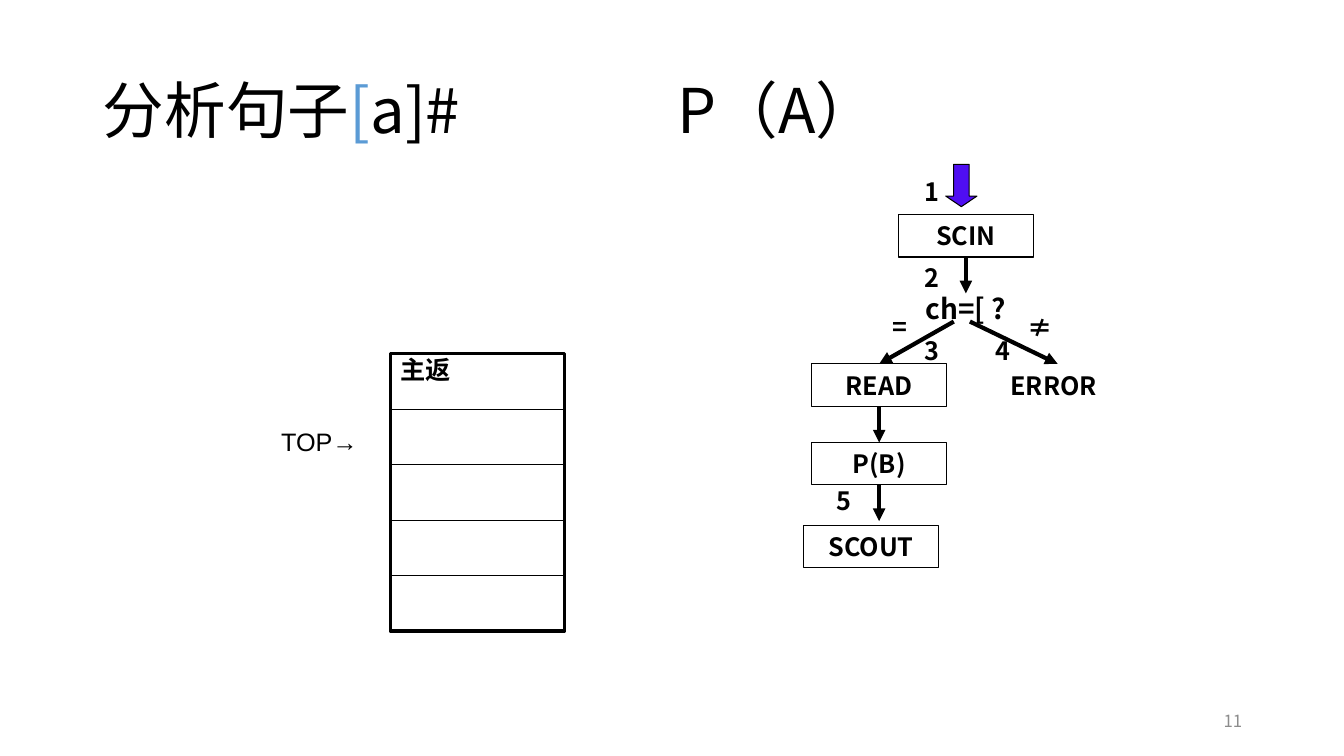
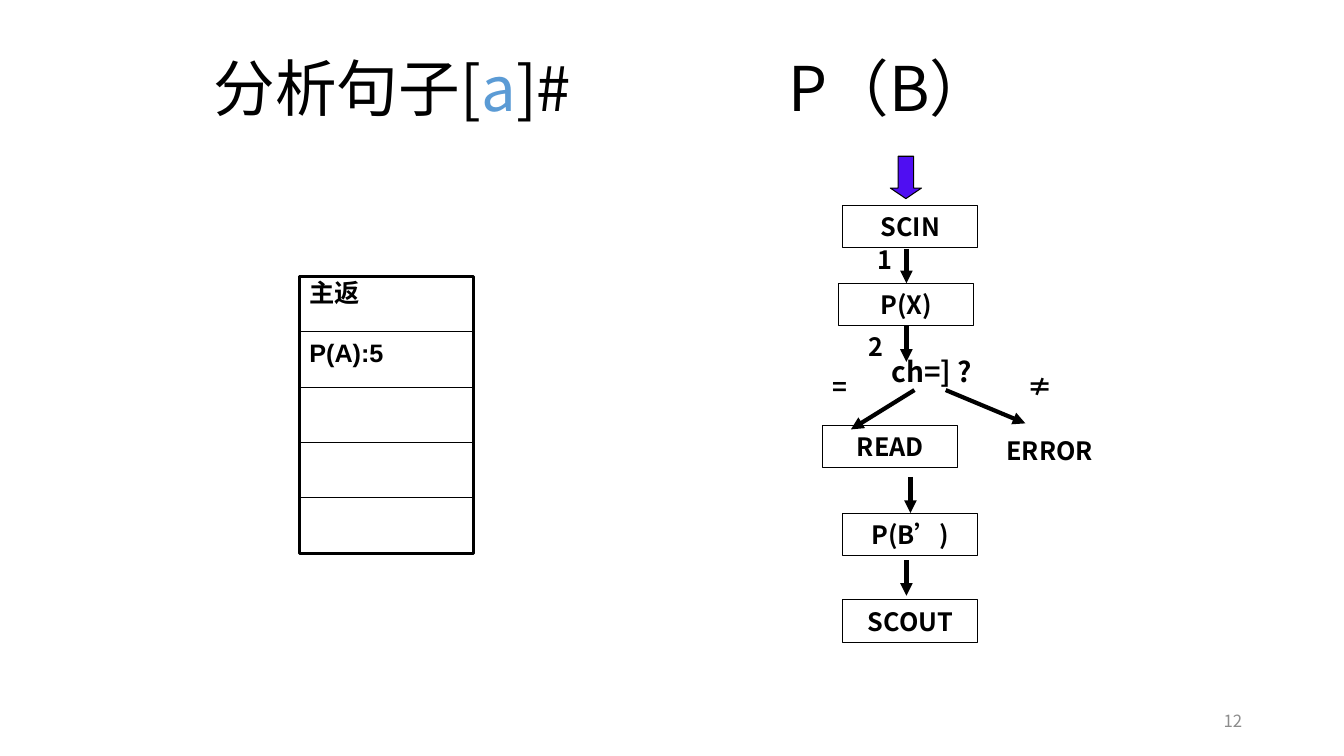
"""Build two slides that trace the parsing of a sentence with a call stack."""
from pptx import Presentation
from pptx.dml.color import RGBColor
from pptx.enum.shapes import MSO_CONNECTOR, MSO_SHAPE
from pptx.enum.text import MSO_ANCHOR, PP_ALIGN
from pptx.oxml.xmlchemy import OxmlElement
from pptx.util import Inches, Pt

STRAIGHT = MSO_CONNECTOR.STRAIGHT
RECT, DOWN = MSO_SHAPE.RECTANGLE, MSO_SHAPE.DOWN_ARROW
TOP, MIDDLE = MSO_ANCHOR.TOP, MSO_ANCHOR.MIDDLE
LEFT, CENTER, RIGHT = PP_ALIGN.LEFT, PP_ALIGN.CENTER, PP_ALIGN.RIGHT


class Theme:
    ink = RGBColor(0x00, 0x00, 0x00)
    accent = RGBColor(0x5B, 0x9B, 0xD5)
    entry = RGBColor(0x4F, 0x0E, 0xF2)
    muted = RGBColor(0x8C, 0x8C, 0x8C)
    thin, frame, thick = Pt(0.75), Pt(2.25), Pt(3)
    title = {"name": "Noto Sans CJK SC", "size": Pt(44), "bold": False}
    node = {"name": "Noto Sans CJK SC", "size": Pt(18), "bold": True}
    test = {"name": "Noto Sans CJK SC", "size": Pt(20), "bold": True}
    page = {"name": "Noto Sans CJK SC", "size": Pt(12), "bold": False}
    stack = {"name": "Arial", "size": Pt(18), "bold": True}
    top = {"name": "Arial", "size": Pt(18), "bold": False}


NODE, MARK = (1.34, 0.42), (0.32, 0.4)
WIDE, ROW, ROWS = 1.73, 0.55, 5
SLIDES = [
    {
        "page": "11",
        "title": ("分析句子", "[", "a]#\tP（A）"),
        "place": (0.92, 0.4, 11.5, 1.45),
        "entry": (9.38, 1.63),
        "nodes": {"SCIN": (8.91, 2.13), "READ": (8.05, 3.61),
                  "P(B)": (8.05, 4.39), "SCOUT": (7.97, 5.21)},
        "error": (9.78, 3.61),
        "test": ("ch=[ ?", 8.91, 2.84),
        "marks": [("1", 9.07, 1.7), ("2", 9.07, 2.55), ("3", 9.07, 3.28),
                  ("4", 9.78, 3.28), ("5", 8.2, 4.77),
                  ("=", 8.75, 3.04), ("≠", 10.09, 3.05)],
        "links": [("SCIN", (9.58, 2.91)), ((9.46, 3.19), "READ"),
                  ((9.62, 3.19), (10.49, 3.61)), ("READ", "P(B)"),
                  ("P(B)", (8.72, 5.17))],
        "stack": (3.87, 3.51),
        "calls": ["主返"],
        "top": (2.69, 4.18),
    },
    {
        "page": "12",
        "title": ("分析句子[", "a", "]#\tP（B）"),
        "place": (2.02, 0.28, 9, 1.25),
        "entry": (8.83, 1.55),
        "nodes": {"SCIN": (8.36, 2.04), "P(X)": (8.32, 2.81),
                  "READ": (8.16, 4.22), "P(B’)": (8.36, 5.09),
                  "SCOUT": (8.36, 5.95)},
        "error": (9.74, 4.26),
        "test": ("ch=] ?", 8.57, 3.47),
        "marks": [("1", 8.6, 2.37), ("2", 8.52, 3.24),
                  ("=", 8.16, 3.63), ("≠", 10.09, 3.63)],
        "links": [((8.99, 2.47), "P(X)"), ("P(X)", (8.99, 3.59)),
                  ((9.07, 3.87), (8.44, 4.26)),
                  ((9.38, 3.87), (10.17, 4.2)),
                  ((9.03, 4.73), "P(B’)"), ((8.99, 5.56), (8.99, 5.91))],
        "stack": (2.97, 2.74),
        "calls": ["主返", "P(A):5"],
        "top": None,
    },
]


def write(para, text, form, color=Theme.ink):
    run = para.add_run()
    run.text = text
    for key, value in form.items():
        setattr(run.font, key, value)
    run.font.color.rgb = color
    east = OxmlElement("a:ea")
    east.set("typeface", form["name"])
    run.font.language_id = None
    run._r.get_or_add_rPr().append(east)


def label(text, place, form, align=CENTER, anchor=TOP, color=Theme.ink):
    box = slide.shapes.add_textbox(*map(Inches, place))
    box.text_frame.word_wrap = True
    box.text_frame.vertical_anchor = anchor
    para = box.text_frame.paragraphs[0]
    para.alignment = align
    write(para, text, form, color)


prs = Presentation()
prs.slide_width, prs.slide_height = Inches(13.33), Inches(7.5)

for data in SLIDES:
    slide = prs.slides.add_slide(prs.slide_layouts[5])
    title = slide.shapes.title
    for key, value in zip(("left", "top", "width", "height"), data["place"]):
        setattr(title, key, Inches(value))
    title.text_frame.vertical_anchor = MIDDLE
    para = title.text_frame.paragraphs[0]
    para.alignment, para.line_spacing = LEFT, 0.9
    tabs, tab = OxmlElement("a:tabLst"), OxmlElement("a:tab")
    tab.set("pos", str(Inches(5.7)))
    tab.set("algn", "l")
    tabs.append(tab)
    para._p.get_or_add_pPr().append(tabs)
    for text, color in zip(data["title"], (Theme.ink, Theme.accent, Theme.ink)):
        write(para, text, Theme.title, color)

    label(data["page"], (9.42, 6.95, 3, 0.4), Theme.page, RIGHT, MIDDLE, Theme.muted)

    entry = slide.shapes.add_shape(DOWN, *map(Inches, (*data["entry"], 0.31, 0.42)))
    entry.adjustments[1] = 0.337
    entry.shadow.inherit = False
    entry.fill.solid()
    entry.fill.fore_color.rgb = Theme.entry
    entry.line.color.rgb = Theme.ink
    entry.line.width = Theme.thin

    nodes = {}
    for text, spot in data["nodes"].items():
        node = nodes[text] = slide.shapes.add_shape(RECT, *map(Inches, spot + NODE))
        node.shadow.inherit = False
        node.fill.background()
        node.line.color.rgb = Theme.ink
        node.line.width = Theme.thin
        node.text_frame.word_wrap = False
        node.text_frame.vertical_anchor = MIDDLE
        para = node.text_frame.paragraphs[0]
        para.alignment = CENTER
        write(para, text, Theme.node)

    label("ERROR", data["error"] + NODE, Theme.node, anchor=MIDDLE)
    text, *spot = data["test"]
    label(text, (*spot, *NODE), Theme.test)
    for text, *spot in data["marks"]:
        label(text, (*spot, *MARK), Theme.node)
    if data["top"]:
        label("TOP→", (*data["top"], 1.18, 0.4), Theme.top, LEFT)

    lines = []
    for start, end in data["links"]:
        link = slide.shapes.add_connector(STRAIGHT, 0, 0, 0, 0)
        if start in nodes:
            link.begin_connect(nodes[start], 2)
        else:
            link.begin_x, link.begin_y = map(Inches, start)
        if end in nodes:
            link.end_connect(nodes[end], 0)
        else:
            link.end_x, link.end_y = map(Inches, end)
        lines.append((link, Theme.thick))

    left, top = data["stack"]
    group = slide.shapes.add_group_shape()
    stack = group.shapes.add_shape(RECT, *map(Inches, (left, top, WIDE, ROW * ROWS)))
    stack.shadow.inherit = False
    stack.fill.background()
    stack.line.color.rgb = Theme.ink
    stack.line.width = Theme.frame
    frame = stack.text_frame
    frame.word_wrap = False
    frame.vertical_anchor = TOP
    frame.margin_top = frame.margin_bottom = Inches(0.01)
    for index, call in enumerate(data["calls"]):
        para = frame.add_paragraph() if index else frame.paragraphs[0]
        para.alignment = LEFT
        if index:
            para.space_before = Pt(21)
        write(para, call, Theme.stack)
    for row in range(1, ROWS):
        y = top + row * ROW
        rule = group.shapes.add_connector(
            STRAIGHT, *map(Inches, (left, y, left + WIDE, y)))
        lines.append((rule, Theme.thin))

    for line, width in lines:
        line.line.color.rgb = Theme.ink
        line.line.width = width
        if width == Theme.thick:
            tail = OxmlElement("a:tailEnd")
            tail.set("type", "triangle")
            line.get_or_add_ln().append(tail)
        line.element.spPr.append(OxmlElement("a:effectLst"))

prs.save("out.pptx")
